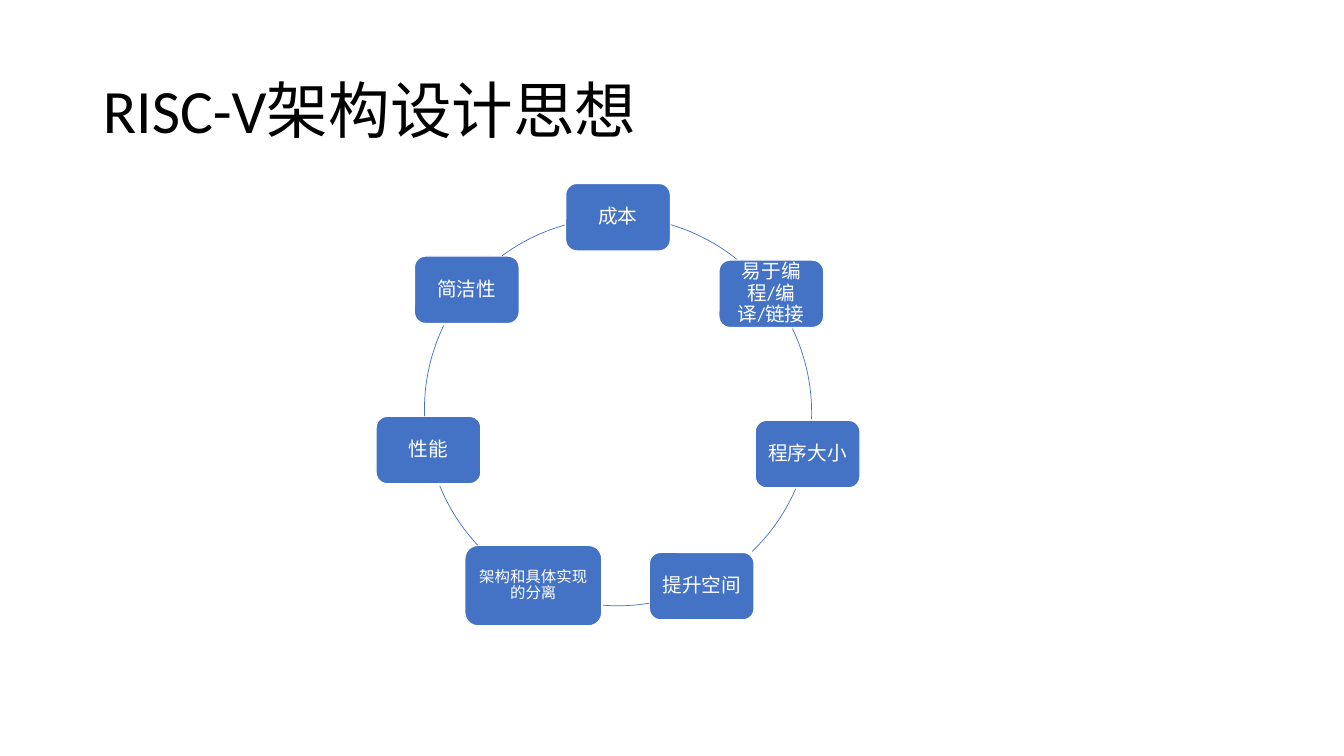
"""Build the RISC-V design ideas slide: seven boxes joined in a ring."""
from pptx import Presentation, util as u
from pptx.dml.color import RGBColor
from pptx.enum import shapes, text

THEME = dict(font="Calibri", blue="4472C4", white="FFFFFF", black="000000",
             title=44, body=14, small=11)
PX = 9144
RING = 385


def place(*sides):
    return [u.Emu(side * PX) for side in sides]


def style(par, size, color, align):
    par.alignment = align
    par.line_spacing = 0.9
    par.font.name = THEME["font"]
    par.font.size = u.Pt(size)
    par.font.color.rgb = RGBColor.from_string(THEME[color])


deck = Presentation()
deck.slide_width, deck.slide_height = place(1333, 750)
slide = deck.slides.add_slide(deck.slide_layouts[5])

title = slide.shapes.title
title.left, title.top, title.width, title.height = place(92, 40, 1150, 145)
frame = title.text_frame
frame.text = "RISC-V架构设计思想"
frame.vertical_anchor = text.MSO_ANCHOR.MIDDLE
frame.auto_size = text.MSO_AUTO_SIZE.NONE
style(frame.paragraphs[0], THEME["title"], "black", text.PP_ALIGN.LEFT)

norm, wide = (104, 67, 6, THEME["body"]), (136, 80, 5, THEME["small"])
ideas = [
    ("成本", 561, 182, norm),
    ("易于编程/编译/链接", 713, 258, norm),
    ("程序大小", 749, 417, norm),
    ("提升空间", 644, 548, norm),
    ("架构和具体实现的分离", 461, 541, wide),
    ("性能", 373, 413, norm),
    ("简洁性", 411, 254, norm),
]
arcs = [
    (418, 215, 286.5, 308.9),
    (420, 217, 334.3, 1.9),
    (420, 216, 23.4, 46.1),
    (420, 216, 80.6, 94.3),
    (422, 217, 136.9, 157.9),
    (421, 214, 178.1, 205.7),
    (420, 216, 233.5, 254.2),
]

for (label, left, top, kind), (x, y, start, end) in zip(ideas, arcs):
    width, height, inset, size = kind
    box = slide.shapes.add_shape(shapes.MSO_SHAPE.ROUNDED_RECTANGLE,
                                 *place(left, top, width, height))
    box.shadow.inherit = False
    box.fill.solid()
    box.fill.fore_color.rgb = RGBColor.from_string(THEME["blue"])
    box.line.color.rgb = RGBColor.from_string(THEME["white"])
    box.line.width = u.Pt(1)
    frame = box.text_frame
    frame.text = label
    frame.word_wrap = True
    frame.vertical_anchor = text.MSO_ANCHOR.MIDDLE
    frame.margin_left = frame.margin_right = u.Emu(inset * PX)
    frame.margin_top = frame.margin_bottom = u.Emu(inset * PX)
    style(frame.paragraphs[0], size, "white", text.PP_ALIGN.CENTER)

    arc = slide.shapes.add_shape(shapes.MSO_SHAPE.ARC, *place(x, y, RING, RING))
    arc.adjustments[0] = start * 0.6
    arc.adjustments[1] = end * 0.6
    arc.shadow.inherit = False
    arc.fill.background()
    arc.line.color.rgb = RGBColor.from_string(THEME["blue"])
    arc.line.width = u.Pt(0.5)

deck.save("out.pptx")
